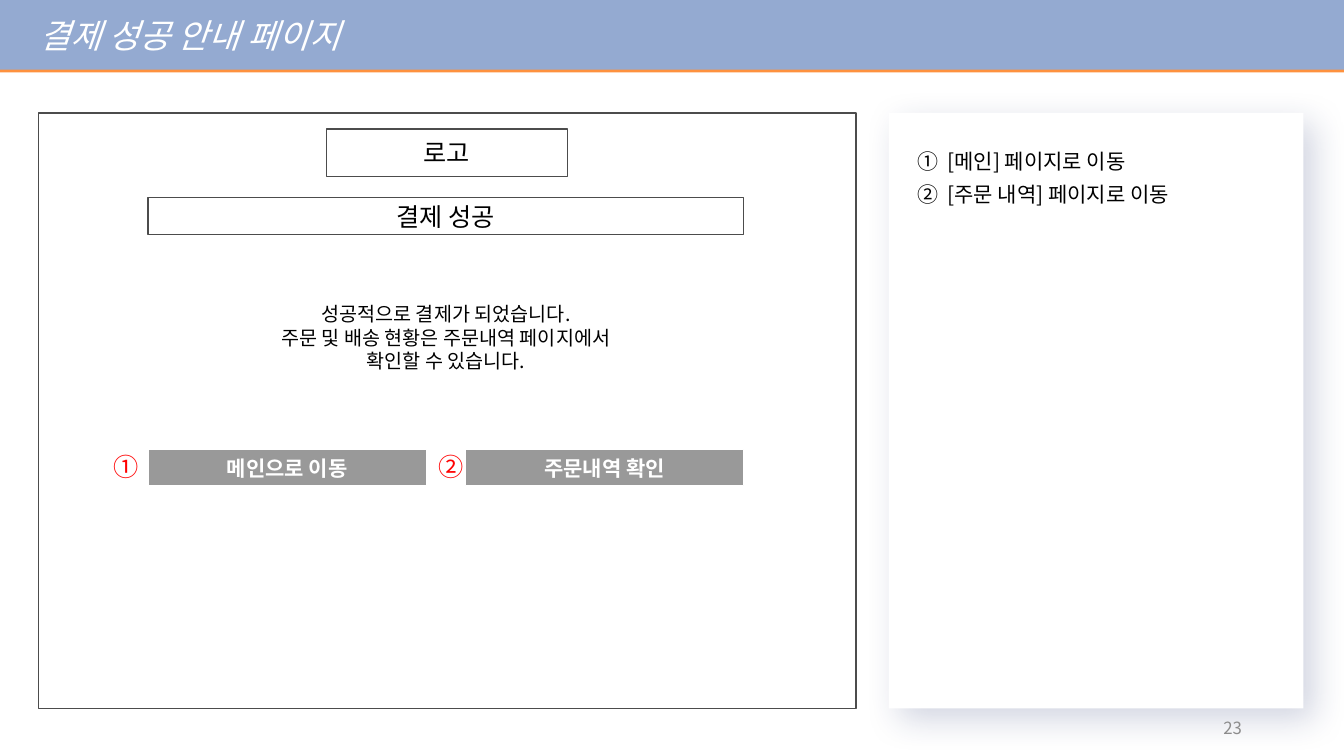
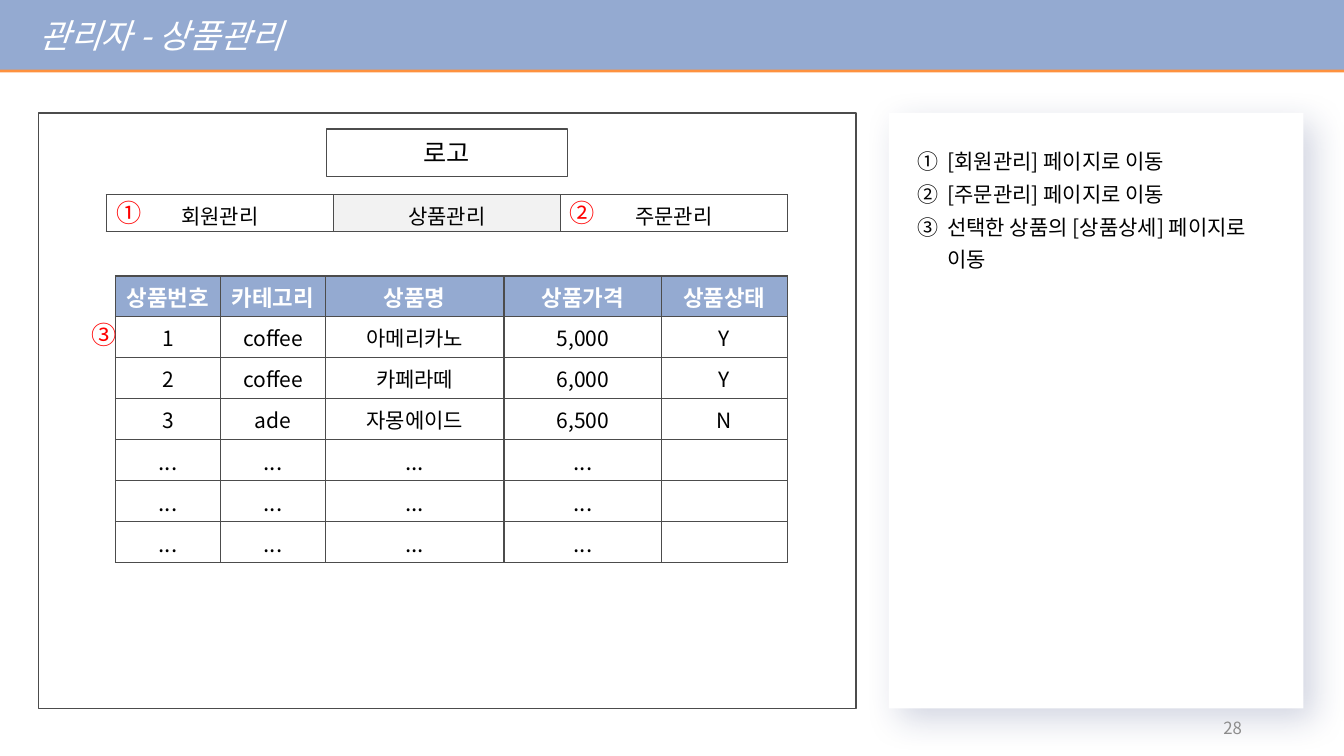
from dataclasses import dataclass
from typing import Any, Optional, Sequence

from lxml import etree
from pptx import Presentation
from pptx.dml.color import RGBColor
from pptx.enum.shapes import MSO_SHAPE
from pptx.enum.text import MSO_ANCHOR, MSO_AUTO_SIZE, PP_ALIGN
from pptx.oxml.ns import qn
from pptx.util import Pt

RECT = MSO_SHAPE.RECTANGLE
TOP, MIDDLE = MSO_ANCHOR.TOP, MSO_ANCHOR.MIDDLE
GROW = MSO_AUTO_SIZE.SHAPE_TO_FIT_TEXT
LEFT, CENTER, RIGHT = PP_ALIGN.LEFT, PP_ALIGN.CENTER, PP_ALIGN.RIGHT
JUSTIFY = PP_ALIGN.JUSTIFY


# Theme: all colours and type sizes
@dataclass(frozen=True)
class Theme:
    font: str = "Noto Sans CJK KR"
    white: str = "FFFFFF"
    black: str = "000000"
    band: str = "94AAD1"
    accent: str = "FE913E"
    shade: str = "1E2E6C"
    outline: str = "4C4C4C"
    button: str = "999999"
    selected: str = "F2F2F2"
    marker: str = "FF0000"
    muted: str = "8C8C8C"
    title_size: int = 24
    box_size: int = 18
    head_size: int = 16
    body_size: int = 15
    message_size: int = 14
    footer_size: int = 12


T = Theme()


# Repeated elements
@dataclass(frozen=True)
class Box:
    left: float
    top: float
    width: float
    height: float


@dataclass(frozen=True)
class Shadow:
    color: str
    opacity: int
    blur: float
    distance: float
    angle: int


@dataclass(frozen=True)
class Marker:
    sign: str
    left: float
    top: float


@dataclass(frozen=True)
class Note:
    text: str
    align: Any = LEFT


SLIDE_W, SLIDE_H = 960, 540
BAND = Box(0, 0, SLIDE_W, 49.7)
SCREEN = Box(27.4, 80.6, 584, 425.5)
NOTES = Box(635, 80.6, 296, 425.5)
LOGO = Box(233.3, 92.2, 172, 33.8)
FOOTER = Box(678.2, 505.4, 216, 28.8)
CONTENT_LEFT, CONTENT_W = 105.8, 425.5
BUTTON_W = 198.7


# Helpers
def rgb(color: str) -> RGBColor:
    return RGBColor.from_string(color)


def sub(parent: Any, tag: str, **attrs: Any) -> Any:
    return etree.SubElement(parent, qn(tag), {k: str(v) for k, v in attrs.items()})


def place(box: Box) -> tuple:
    return Pt(box.left), Pt(box.top), Pt(box.width), Pt(box.height)


def write(tf: Any, text: str, *, size: int, color: str = T.black,
          align: Any = LEFT, bold: bool = False, italic: bool = False,
          spacing: Optional[float] = None, indent: float = 0,
          numbered: bool = False, more: bool = False) -> None:
    """Write one paragraph; with more=True, add it below the others."""
    p = tf.add_paragraph() if more else tf.paragraphs[0]
    p.alignment = align
    if spacing:
        p.line_spacing = spacing
    pPr = p._p.get_or_add_pPr()
    if indent:
        pPr.set("marL", str(Pt(indent)))
        pPr.set("indent", str(-Pt(indent) if numbered else 0))
    if numbered:
        sub(sub(pPr, "a:buClr"), "a:srgbClr", val=color)
        sub(pPr, "a:buFont", typeface=T.font)
        sub(pPr, "a:buAutoNum", type="circleNumDbPlain")
    for i, line in enumerate(text.split("\n")):
        if i:
            p.add_line_break()
        r = p.add_run()
        r.text = line
        f = r.font
        f.name, f.size, f.bold, f.italic = T.font, Pt(size), bold, italic
        f.color.rgb = rgb(color)
        sub(r._r.get_or_add_rPr(), "a:ea", typeface=T.font)


def add_box(s: Any, box: Box, text: str = "", *, fill: Optional[str] = None,
            line: Optional[str] = None, shadow: Optional[Shadow] = None,
            **fmt: Any) -> None:
    sp = s.shapes.add_shape(RECT, *place(box))
    if fill:
        sp.fill.solid()
        sp.fill.fore_color.rgb = rgb(fill)
    else:
        sp.fill.background()
    if line:
        sp.line.color.rgb = rgb(line)
        sp.line.width = Pt(1)
    else:
        sp.line.fill.background()
    sp.shadow.inherit = False
    if shadow:
        effects = sp._element.spPr.find(qn("a:effectLst"))
        outer = sub(effects, "a:outerShdw", blurRad=Pt(shadow.blur),
                    dist=Pt(shadow.distance), dir=shadow.angle * 60000,
                    algn="ctr", rotWithShape=0)
        clr = sub(outer, "a:srgbClr", val=shadow.color)
        sub(clr, "a:alpha", val=shadow.opacity * 1000)
    if text:
        sp.text_frame.vertical_anchor = MIDDLE
        write(sp.text_frame, text, **fmt)


def add_textbox(s: Any, box: Box, *, wrap: bool = True, grow: bool = True,
                anchor: Any = TOP) -> Any:
    tf = s.shapes.add_textbox(*place(box)).text_frame
    tf.word_wrap = wrap
    tf.vertical_anchor = anchor
    if grow:
        tf.auto_size = GROW
    return tf


def add_marker(s: Any, m: Marker) -> None:
    tf = add_textbox(s, Box(m.left, m.top, 31.4, 28.8), wrap=False)
    write(tf, m.sign, size=T.box_size, color=T.marker)


def add_grid(s: Any, left: float, top: float, widths: Sequence[float],
             row_height: float, rows: int) -> Any:
    box = Box(left, top, sum(widths), row_height * rows)
    table = s.shapes.add_table(rows, len(widths), *place(box)).table
    table.first_row = table.horz_banding = False
    for column, width in zip(table.columns, widths):
        column.width = Pt(width)
    for row in table.rows:
        row.height = Pt(row_height)
    return table


def fill_cell(cell: Any, text: str, *, fill: str = T.white,
              anchor: Any = MIDDLE, **fmt: Any) -> None:
    cell.fill.solid()
    cell.fill.fore_color.rgb = rgb(fill)
    cell.vertical_anchor = anchor
    tcPr = cell._tc.get_or_add_tcPr()
    for i, side in enumerate(("a:lnL", "a:lnR", "a:lnT", "a:lnB")):
        ln = sub(tcPr, side, w=Pt(1))
        sub(sub(ln, "a:solidFill"), "a:srgbClr", val=T.outline)
        tcPr.insert(i, ln)
    if text:
        write(cell.text_frame, text, align=CENTER, **fmt)


# Frame shared by the slides
def add_page(prs: Any, title: str, notes: Sequence[Note], number: int) -> Any:
    s = prs.slides.add_slide(prs.slide_layouts[6])
    add_box(s, NOTES, fill=T.white, shadow=Shadow(T.shade, 20, 25, 11, 45))
    add_box(s, BAND, title, fill=T.band, shadow=Shadow(T.accent, 100, 0, 2, 90),
            size=T.title_size, color=T.white, italic=True, indent=20.9)
    add_box(s, SCREEN, line=T.outline)
    add_box(s, LOGO, "로고", line=T.outline, size=T.box_size, align=CENTER)
    tf = add_textbox(s, Box(648, 97.2, 272.2, 77))
    for i, note in enumerate(notes):
        write(tf, note.text, size=T.body_size, align=note.align, spacing=1.3,
              indent=21.6, numbered=True, more=i > 0)
    tf = add_textbox(s, FOOTER, grow=False, anchor=MIDDLE)
    write(tf, str(number), size=T.footer_size, color=T.muted, align=RIGHT)
    return s


# Payment success page
def payment_page(prs: Any) -> None:
    s = add_page(prs, "결제 성공 안내 페이지",
                 [Note("[메인] 페이지로 이동"), Note("[주문 내역] 페이지로 이동")], 23)
    add_box(s, Box(CONTENT_LEFT, 141.1, CONTENT_W, 26.6), "결제 성공",
            line=T.outline, size=T.box_size, align=CENTER)
    tf = add_textbox(s, Box(CONTENT_LEFT, 212.4, CONTENT_W, 57.6))
    message = ("성공적으로 결제가 되었습니다.",
               "주문 및 배송 현황은 주문내역 페이지에서",
               "확인할 수 있습니다.")
    for i, line in enumerate(message):
        write(tf, line, size=T.message_size, align=CENTER, more=i > 0)
    for i, label in enumerate(("메인으로 이동", "주문내역 확인")):
        left = CONTENT_LEFT + i * (CONTENT_W - BUTTON_W)
        add_box(s, Box(left, 321.1, BUTTON_W, 25.9), label, fill=T.button,
                line=T.white, size=T.body_size, color=T.white, bold=True,
                align=CENTER)
    for m in (Marker("①", 74.2, 319), Marker("②", 306, 319)):
        add_marker(s, m)


# Product management page
def product_page(prs: Any) -> None:
    s = add_page(prs, "관리자 - 상품관리",
                 [Note("[회원관리] 페이지로 이동", JUSTIFY),
                  Note("[주문관리] 페이지로 이동", JUSTIFY),
                  Note("선택한 상품의 [상품상세] 페이지로\n이동")], 28)
    # Tabs
    tabs = add_grid(s, 75.9, 139, [162.2] * 3, 26.6, 1)
    for i, label in enumerate(("회원관리", "상품관리", "주문관리")):
        fill_cell(tabs.cell(0, i), label, anchor=TOP, size=T.body_size,
                  fill=T.selected if i == 1 else T.white)
    # Product list
    rest = ("...",) * 4 + ("",)
    rows = [("상품번호", "카테고리", "상품명", "상품가격", "상품상태"),
            ("1", "coffee", "아메리카노", "5,000", "Y"),
            ("2", "coffee", "카페라떼", "6,000", "Y"),
            ("3", "ade", "자몽에이드", "6,500", "N"),
            rest, rest, rest]
    products = add_grid(s, 82.5, 197.1, [75, 75, 127.6, 112.7, 89.6], 29.25, len(rows))
    for i, row in enumerate(rows):
        head = i == 0
        size = T.head_size if head or row is rest else T.body_size
        for j, text in enumerate(row):
            fill_cell(products.cell(i, j), text, size=size, bold=head,
                      fill=T.band if head else T.white,
                      color=T.white if head else T.black)
    for m in (Marker("①", 76.3, 137.5), Marker("②", 399.6, 137.5),
              Marker("③", 58.3, 224.6)):
        add_marker(s, m)


def main() -> None:
    prs = Presentation()
    prs.slide_width, prs.slide_height = Pt(SLIDE_W), Pt(SLIDE_H)
    payment_page(prs)
    product_page(prs)
    prs.save("out.pptx")


if __name__ == "__main__":
    main()
